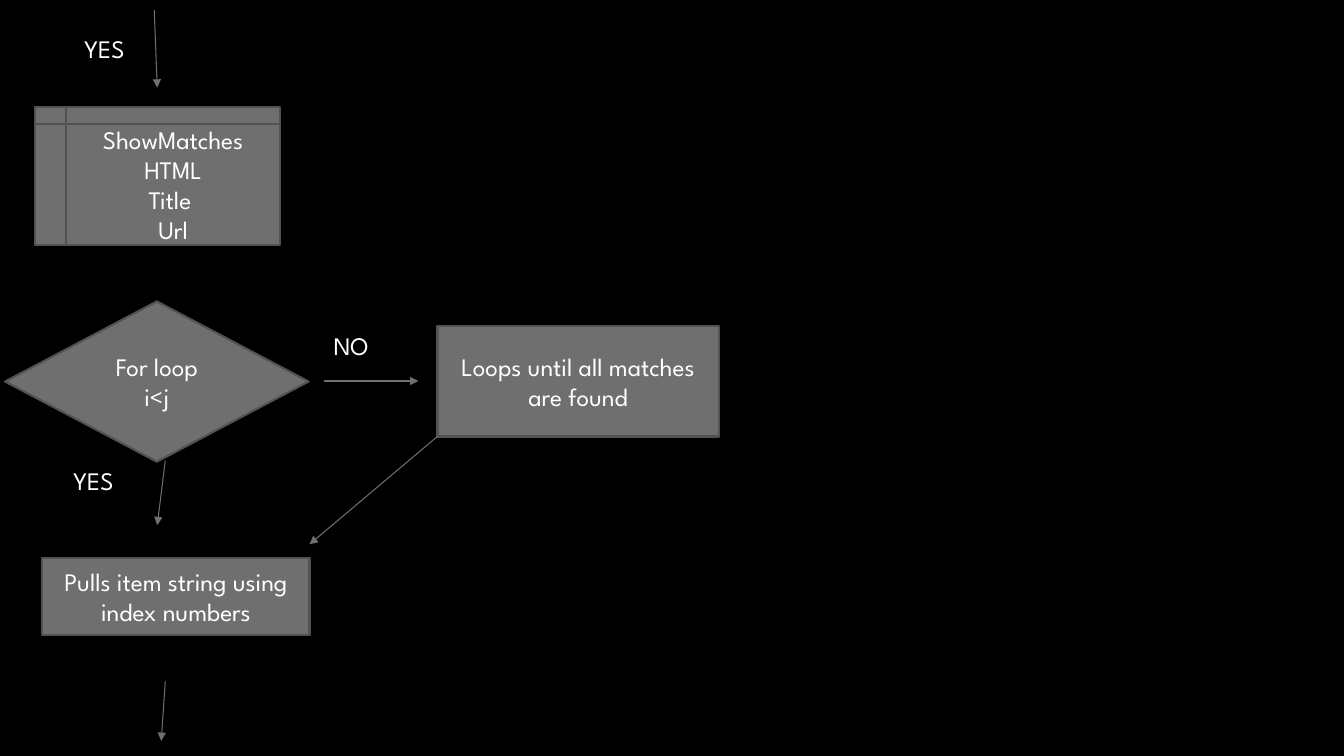
from dataclasses import dataclass

from lxml import etree
from pptx import Presentation
from pptx.dml.color import RGBColor
from pptx.enum.shapes import MSO_CONNECTOR, MSO_SHAPE
from pptx.enum.text import MSO_ANCHOR, PP_ALIGN
from pptx.oxml.ns import qn
from pptx.slide import Slide
from pptx.text.text import TextFrame
from pptx.util import Inches, Pt

STORAGE = MSO_SHAPE.FLOWCHART_INTERNAL_STORAGE
DECISION = MSO_SHAPE.FLOWCHART_DECISION
PROCESS = MSO_SHAPE.FLOWCHART_PROCESS
STRAIGHT = MSO_CONNECTOR.STRAIGHT
LEFT, CENTER = PP_ALIGN.LEFT, PP_ALIGN.CENTER
TOP, MIDDLE = MSO_ANCHOR.TOP, MSO_ANCHOR.MIDDLE

SLIDE_WIDTH, SLIDE_HEIGHT = Inches(13.33), Inches(7.5)


@dataclass(frozen=True)
class Theme:
    background: RGBColor = RGBColor(0x00, 0x00, 0x00)
    fill: RGBColor = RGBColor(0x6F, 0x6F, 0x6F)
    outline: RGBColor = RGBColor(0x52, 0x52, 0x52)
    text: RGBColor = RGBColor(0xFF, 0xFF, 0xFF)
    font: str = "League Spartan"
    text_size: Pt = Pt(18)
    outline_width: Pt = Pt(1.5)
    arrow_width: Pt = Pt(0.75)


THEME = Theme()


@dataclass(frozen=True)
class Area:
    """A rectangle in percent of the slide's width and height."""
    left: float
    top: float
    width: float
    height: float

    def lengths(self) -> tuple[int, int, int, int]:
        return (across(self.left), down(self.top),
                across(self.width), down(self.height))


@dataclass(frozen=True)
class Step:
    kind: MSO_SHAPE
    area: Area
    lines: tuple[str, ...]


@dataclass(frozen=True)
class Answer:
    area: Area
    word: str


@dataclass(frozen=True)
class Arrow:
    """Start and end points in percent of the slide's width and height."""
    start: tuple[float, float]
    end: tuple[float, float]


STEPS = (
    Step(STORAGE, Area(2.63, 14.13, 18.23, 18.27),
         ("ShowMatches", "HTML", "Title ", "Url")),
    Step(DECISION, Area(0.38, 39.87, 22.58, 21.2), ("For loop", "i<j")),
    Step(PROCESS, Area(32.55, 43.07, 20.93, 14.67),
         ("Loops until all matches are found",)),
    Step(PROCESS, Area(3.15, 73.87, 19.88, 10.13),
         ("Pulls item string using index numbers",)),
)
ANSWERS = (
    Answer(Area(5.55, 3.73, 4.65, 5.33), "YES"),
    Answer(Area(24.08, 43.07, 6.08, 5.33), "NO"),
    Answer(Area(4.73, 60.93, 5.4, 5.33), "YES"),
)
ARROWS = (
    Arrow((11.48, 1.33), (11.7, 11.6)),
    Arrow((24.08, 50.4), (31.13, 50.4)),
    Arrow((12.3, 60.93), (11.7, 69.47)),
    Arrow((32.55, 57.73), (23.03, 72)),
    Arrow((12.3, 90.13), (12, 98)),
)


def across(percent: float) -> int:
    return round(SLIDE_WIDTH * percent / 100)


def down(percent: float) -> int:
    return round(SLIDE_HEIGHT * percent / 100)


def write_lines(frame: TextFrame, lines: tuple[str, ...],
                alignment: PP_ALIGN, anchor: MSO_ANCHOR) -> None:
    frame.word_wrap = True
    frame.vertical_anchor = anchor
    font_format = {"name": THEME.font, "size": THEME.text_size}
    for index, line in enumerate(lines):
        para = frame.add_paragraph() if index else frame.paragraphs[0]
        para.alignment = alignment
        span = para.add_run()
        span.text = line
        for attribute, value in font_format.items():
            setattr(span.font, attribute, value)
        span.font.color.rgb = THEME.text


def draw_step(page: Slide, step: Step) -> None:
    box = page.shapes.add_shape(step.kind, *step.area.lengths())
    box.shadow.inherit = False
    box.fill.solid()
    box.fill.fore_color.rgb = THEME.fill
    box.line.color.rgb = THEME.outline
    box.line.width = THEME.outline_width
    write_lines(box.text_frame, step.lines, CENTER, MIDDLE)


def draw_answer(page: Slide, answer: Answer) -> None:
    box = page.shapes.add_textbox(*answer.area.lengths())
    write_lines(box.text_frame, (answer.word,), LEFT, TOP)


def draw_arrow(page: Slide, arrow: Arrow) -> None:
    (start_x, start_y), (end_x, end_y) = arrow.start, arrow.end
    connector = page.shapes.add_connector(
        STRAIGHT, across(start_x), down(start_y), across(end_x), down(end_y))
    connector.line.color.rgb = THEME.fill
    connector.line.width = THEME.arrow_width
    properties = connector.element.spPr
    head = etree.SubElement(properties.find(qn("a:ln")), qn("a:tailEnd"))
    head.set("type", "triangle")
    etree.SubElement(properties, qn("a:effectLst"))


def main() -> None:
    deck = Presentation()
    deck.slide_width, deck.slide_height = SLIDE_WIDTH, SLIDE_HEIGHT
    page = deck.slides.add_slide(deck.slide_layouts[6])
    page.background.fill.solid()
    page.background.fill.fore_color.rgb = THEME.background
    for step in STEPS:
        draw_step(page, step)
    for answer in ANSWERS:
        draw_answer(page, answer)
    for arrow in ARROWS:
        draw_arrow(page, arrow)
    deck.save("out.pptx")


if __name__ == "__main__":
    main()
